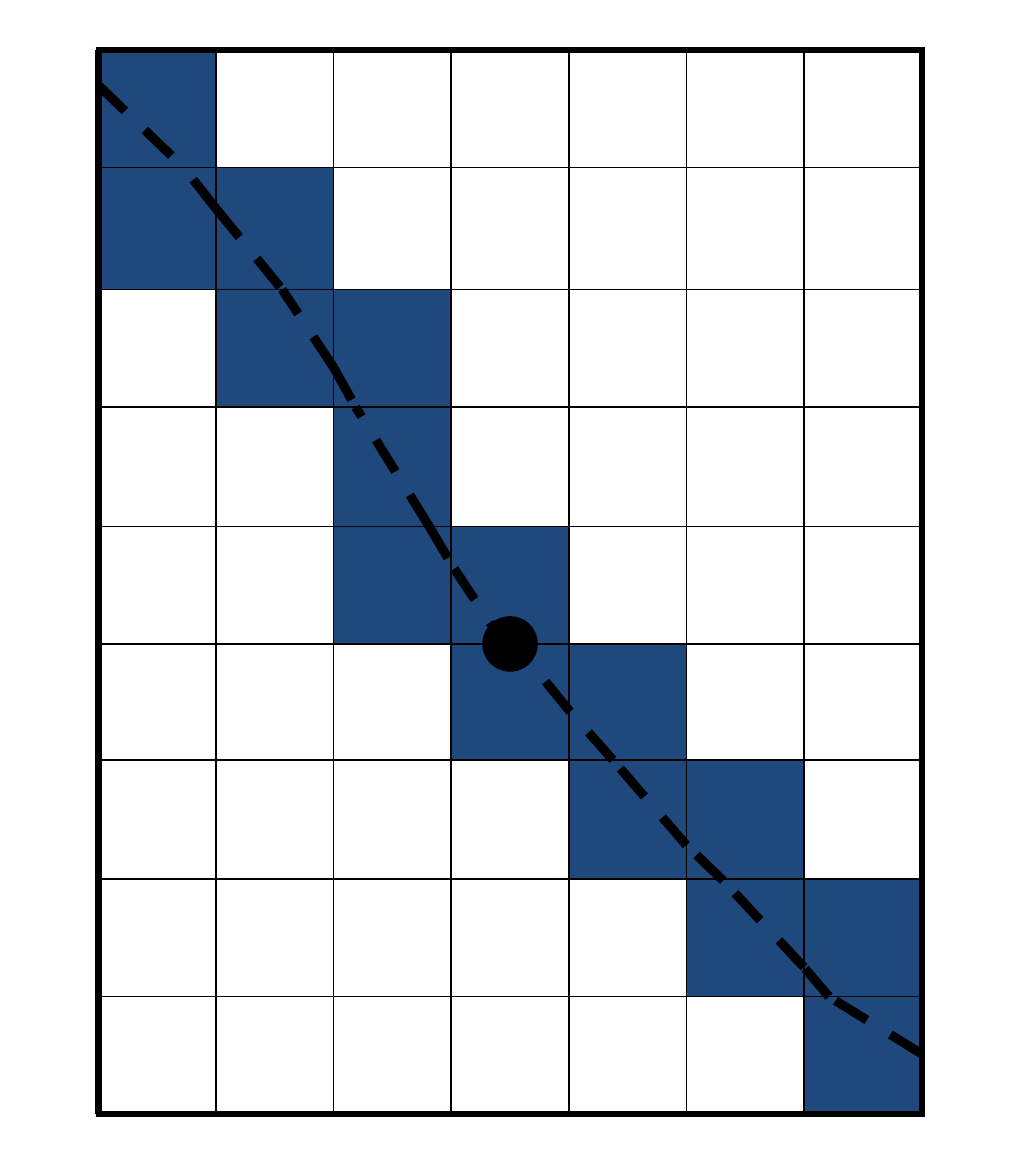
from itertools import pairwise

from lxml.etree import SubElement
from pptx import Presentation
from pptx.dml.color import RGBColor
from pptx.enum.dml import MSO_LINE
from pptx.enum.shapes import MSO_CONNECTOR, MSO_SHAPE
from pptx.oxml.ns import qn
from pptx.util import Pt

COLORS = {"cell": "1F497D", "ink": "000000"}

# Grid: equal columns, and rows of slightly differing height
COLUMN_COUNT = 7
COLUMN_XS = [48.24 + 57.6 * column for column in range(COLUMN_COUNT + 1)]
ROW_YS = [24.5, 82.1, 141.8, 199.4, 257.8, 315.4, 372.2, 430.6, 488.2, 545.8]
FRAME_OVERHANG = 1.4

# Columns filled in each row, from the top row down
FILLED_COLUMNS = [[0], [0, 1], [1, 2], [2], [2, 3], [3, 4], [4, 5], [5, 6], [6]]

# Dashed trail: corners above and below the dot
UPPER_TRAIL = [(48.24, 41.8), (90, 82.1), (105.84, 102.2), (138.2, 141.8), (163.44, 180),
               (174.2, 199.4), (210.2, 257.8), (222.5, 278.6), (241.2, 306.7)]
LOWER_TRAIL = [(451.44, 516.2), (406.1, 488.2), (393.84, 473.8), (354.2, 431.3),
               (336.24, 414), (300.2, 372.2), (278.64, 347.8), (259.2, 324)]
BACKWARD_STEPS = {1, 3, 5}  # upper steps whose dashes start at the lower end
DOT_SIZE = 25.2


def rgb(name):
    return RGBColor.from_string(COLORS[name])


def add_block(page, kind, left, top, width, height, fill, line_width=None):
    block = page.shapes.add_shape(kind, Pt(left), Pt(top), Pt(width), Pt(height))
    block.shadow.inherit = False
    block.fill.solid()
    block.fill.fore_color.rgb = rgb(fill)
    if line_width:
        block.line.color.rgb = rgb(fill)
        block.line.width = Pt(line_width)
    else:
        block.line.fill.background()
    return block


def add_line(page, start, end, width, dash=None):
    line = page.shapes.add_connector(MSO_CONNECTOR.STRAIGHT, *map(Pt, start + end))
    line.line.color.rgb = rgb("ink")
    line.line.width = Pt(width)
    if dash:
        line.line.dash_style = dash
    SubElement(line._element.spPr, qn("a:effectLst"))
    return line


def add_cells(page):
    for row, columns in enumerate(FILLED_COLUMNS):
        top, bottom = ROW_YS[row], ROW_YS[row + 1]
        for column in columns:
            left, right = COLUMN_XS[column], COLUMN_XS[column + 1]
            add_block(page, MSO_SHAPE.RECTANGLE, left, top, right - left, bottom - top, "cell")


def add_grid(page):
    left, right = COLUMN_XS[0], COLUMN_XS[-1]
    top, bottom = ROW_YS[0], ROW_YS[-1]
    for y in ROW_YS:
        outer = y in (top, bottom)
        overhang = FRAME_OVERHANG if outer else 0
        add_line(page, (left - overhang, y), (right + overhang, y), 3 if outer else 0.75)
    for x in COLUMN_XS:
        add_line(page, (x, top), (x, bottom), 3 if x in (left, right) else 0.75)


def add_trail(page, corners, backward_steps=()):
    for step, (start, end) in enumerate(pairwise(corners)):
        if step in backward_steps:
            start, end = end, start
        add_line(page, start, end, 4.5, MSO_LINE.DASH)


def main():
    deck = Presentation()
    deck.slide_width, deck.slide_height = Pt(504), Pt(576)
    page = deck.slides.add_slide(deck.slide_layouts[6])

    # Filled cells under the grid
    add_cells(page)
    add_grid(page)

    # Trail through the cells
    add_trail(page, UPPER_TRAIL, BACKWARD_STEPS)
    add_trail(page, LOWER_TRAIL)

    # Dot in the middle of the fourth column, on the fifth inner row line
    center_x, center_y = (COLUMN_XS[3] + COLUMN_XS[4]) / 2, ROW_YS[5]
    add_block(page, MSO_SHAPE.OVAL, center_x - DOT_SIZE / 2, center_y - DOT_SIZE / 2,
              DOT_SIZE, DOT_SIZE, "ink", line_width=2)

    deck.save("out.pptx")


if __name__ == "__main__":
    main()
